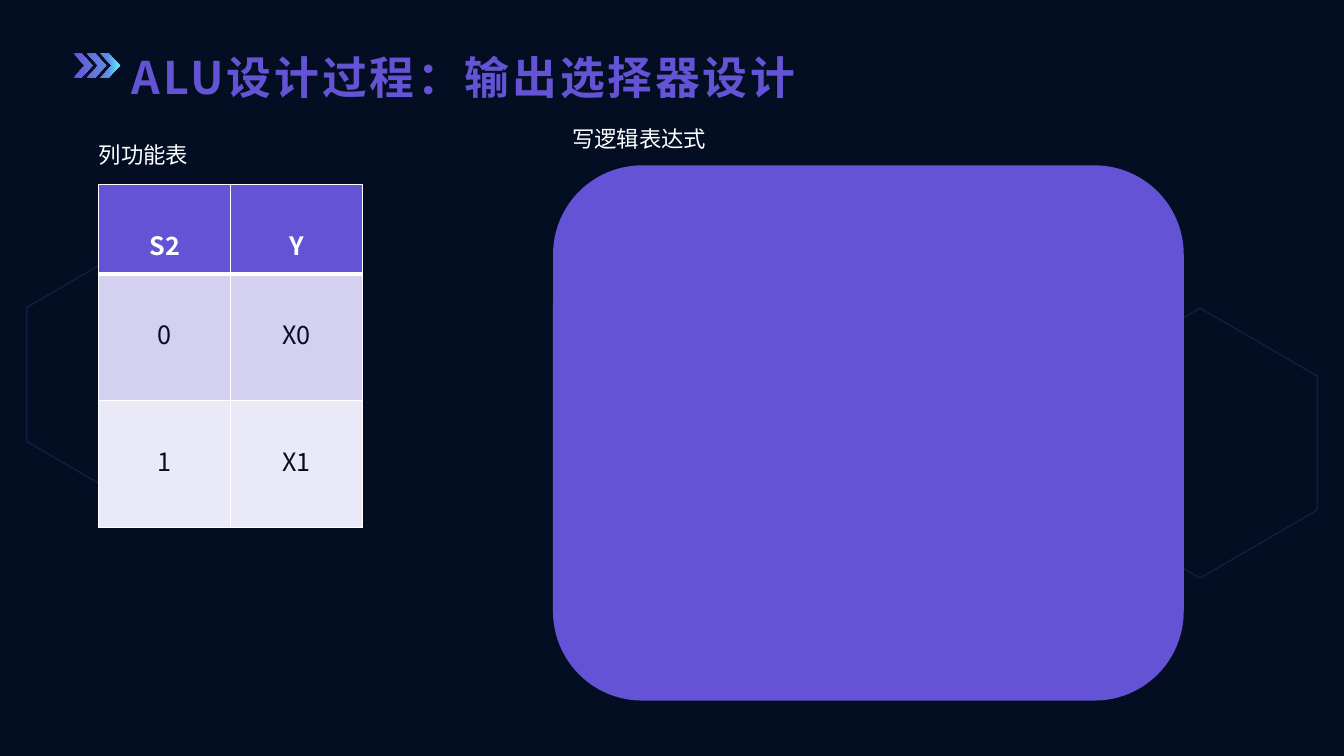
from dataclasses import dataclass

from lxml import etree
from pptx import Presentation
from pptx import util as u
from pptx.dml.color import RGBColor
from pptx.enum import shapes, text
from pptx.oxml import parse_xml
from pptx.oxml.ns import nsdecls, qn

NIGHT = RGBColor(0x03, 0x0E, 0x22)
VIOLET = RGBColor(0x64, 0x53, 0xD5)
SKY = RGBColor(0x60, 0x8C, 0xE3)
CYAN = RGBColor(0x5A, 0xF3, 0xFD)
WHITE = RGBColor(0xFF, 0xFF, 0xFF)
LILAC = RGBColor(0xD3, 0xD1, 0xEF)
PALE = RGBColor(0xEA, 0xE9, 0xF7)
FONT = "Noto Sans CJK SC"

# The slide is a grid of 100 columns by 100 rows
WIDTH, HEIGHT = u.Inches(13.34), u.Inches(7.5)


def column(count: float) -> int:
    return round(WIDTH * count / 100)


def row(count: float) -> int:
    return round(HEIGHT * count / 100)


@dataclass(frozen=True)
class Area:
    left: float
    top: float
    width: float
    height: float

    def place(self) -> tuple[int, int, int, int]:
        return column(self.left), row(self.top), column(self.width), row(self.height)


@dataclass(frozen=True)
class Label:
    words: str
    area: Area
    size: int = 16
    color: RGBColor = WHITE
    bold: bool = False
    spacing: int = 0
    wrap: bool = True


@dataclass(frozen=True)
class TableRow:
    values: tuple[str, str]
    height: float
    fill: RGBColor
    color: RGBColor = NIGHT
    bold: bool = False
    top_line: int = 1
    bottom_line: int = 1


LABELS = (
    Label("ALU设计过程：输出选择器设计", Area(9.82, 5.2, 58.1, 7.87),
          size=32, color=VIOLET, bold=True, spacing=2),
    Label("列功能表", Area(7.35, 18, 8.17, 4)),
    Label("写逻辑表达式", Area(42.58, 15.87, 10.12, 4), wrap=False),
)
HEXAGONS = (Area(79.24, 43.07, 20.09, 31.07), Area(0.67, 34, 20.09, 31.07))
PANEL = Area(41.15, 21.87, 46.93, 70.8)
TABLE = Area(7.35, 24.4, 19.64, 45.33)
TABLE_ROWS = (
    TableRow(("S2", "Y"), 11.87, VIOLET, color=WHITE, bold=True, bottom_line=3),
    TableRow(("0", "X0"), 16.73, LILAC, top_line=3),
    TableRow(("1", "X1"), 16.73, PALE),
)


def write(para, words: str, *, size: int, color: RGBColor,
          bold: bool = False, spacing: int = 0) -> None:
    span = para.add_run()
    span.text = words
    span.font.name = FONT
    span.font.size = u.Pt(size)
    span.font.bold = bold
    span.font.color.rgb = color
    properties = span.font._element
    etree.SubElement(properties, qn("a:ea"), typeface=FONT)
    if spacing:
        properties.set("spc", str(spacing * 100))


def add_label(page, label: Label) -> None:
    box = page.shapes.add_textbox(*label.area.place())
    frame = box.text_frame
    frame.word_wrap = label.wrap
    frame.margin_left = frame.margin_right = frame.margin_top = frame.margin_bottom = 0
    para = frame.paragraphs[0]
    para.line_spacing = 1.2
    write(para, label.words, size=label.size, color=label.color,
          bold=label.bold, spacing=label.spacing)


def add_hexagon(page, area: Area) -> None:
    hexagon = page.shapes.add_shape(shapes.MSO_SHAPE.HEXAGON, *area.place())
    hexagon.adjustments[0] = 0.29
    hexagon.rotation = 90
    hexagon.shadow.inherit = False
    hexagon.fill.background()
    hexagon.line.color.rgb = VIOLET
    hexagon.line.width = u.Pt(1)
    color = hexagon.line._ln.find(".//" + qn("a:srgbClr"))
    etree.SubElement(color, qn("a:alpha"), val="20000")


def add_chevrons(page) -> None:
    left, top, step, height = 5.47, 7.07, 1.01, 3.2
    thick, tip = 0.6, 0.82
    outline = ((0, 0), (thick, 0), (thick + tip, height / 2),
               (thick, height), (0, height), (tip, height / 2))
    builder = None
    for index in range(3):
        start = left + index * step
        points = [(column(start + x), row(top + y)) for x, y in outline]
        if builder is None:
            builder = page.shapes.build_freeform(*points[0])
        else:
            builder.move_to(*points[0])
        builder.add_line_segments(points[1:], close=True)
    chevrons = builder.convert_to_shape()
    chevrons.shadow.inherit = False
    chevrons.line.fill.background()
    chevrons.fill.gradient()
    chevrons.fill.gradient_angle = 0
    stops = chevrons._element.spPr.find(".//" + qn("a:gsLst"))
    for stop in list(stops):
        stops.remove(stop)
    for share, color in ((0, VIOLET), (74, SKY), (100, CYAN)):
        stops.append(parse_xml(
            f'<a:gs {nsdecls("a")} pos="{share * 1000}"><a:srgbClr val="{color}"/></a:gs>'))


def add_panel(page, area: Area) -> None:
    panel = page.shapes.add_shape(shapes.MSO_SHAPE.ROUNDED_RECTANGLE, *area.place())
    panel.shadow.inherit = False
    panel.fill.solid()
    panel.fill.fore_color.rgb = VIOLET
    panel.line.fill.background()


def add_borders(cell, line: TableRow) -> None:
    properties = cell._tc.get_or_add_tcPr()
    for side, points in (("L", 1), ("R", 1), ("T", line.top_line), ("B", line.bottom_line)):
        properties.append(parse_xml(
            f'<a:ln{side} {nsdecls("a")} w="{u.Pt(points)}"><a:solidFill>'
            f'<a:srgbClr val="{WHITE}"/></a:solidFill></a:ln{side}>'))


def add_function_table(page) -> None:
    table = page.shapes.add_table(len(TABLE_ROWS), 2, *TABLE.place()).table
    for table_row, line in zip(table.rows, TABLE_ROWS):
        table_row.height = row(line.height)
        for cell, value in zip(table_row.cells, line.values):
            add_borders(cell, line)
            cell.fill.solid()
            cell.fill.fore_color.rgb = line.fill
            cell.vertical_anchor = text.MSO_ANCHOR.TOP
            cell.margin_top = row(5.5)
            para = cell.text_frame.paragraphs[0]
            para.alignment = text.PP_ALIGN.CENTER
            write(para, value, size=18, color=line.color, bold=line.bold)


def main() -> None:
    deck = Presentation()
    deck.slide_width, deck.slide_height = WIDTH, HEIGHT
    page = deck.slides.add_slide(deck.slide_layouts[6])
    page.background.fill.solid()
    page.background.fill.fore_color.rgb = NIGHT

    # Decoration
    add_chevrons(page)
    for area in HEXAGONS:
        add_hexagon(page, area)

    # Function table and expression panel
    add_function_table(page)
    add_panel(page, PANEL)

    # Title and captions
    for label in LABELS:
        add_label(page, label)

    deck.save("out.pptx")


if __name__ == "__main__":
    main()
